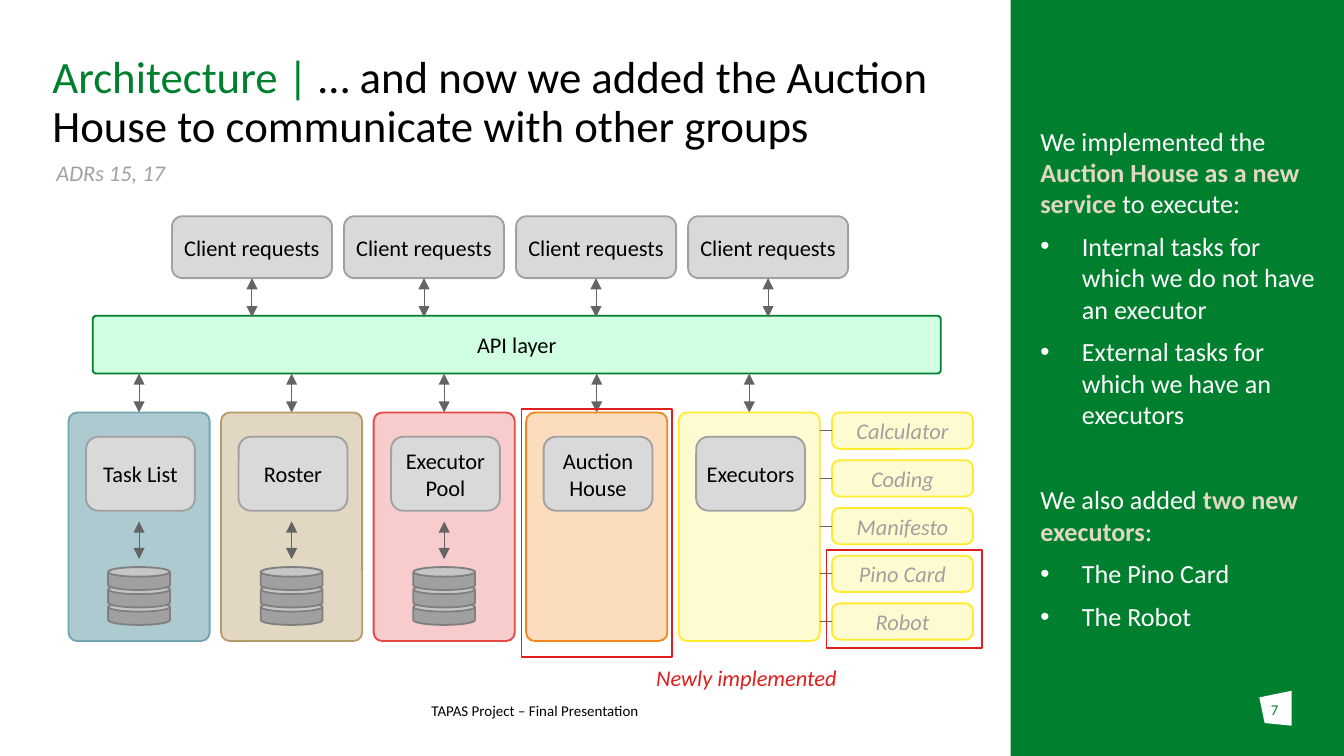
"""Build the architecture slide that introduces the Auction House service."""
from dataclasses import dataclass

from lxml import etree
from pptx import Presentation
from pptx.dml.color import RGBColor
from pptx.enum.shapes import MSO_CONNECTOR, MSO_SHAPE
from pptx.enum.text import MSO_ANCHOR, MSO_AUTO_SIZE, PP_ALIGN
from pptx.oxml.ns import qn
from pptx.util import Inches, Pt

STRAIGHT = MSO_CONNECTOR.STRAIGHT
RECTANGLE = MSO_SHAPE.RECTANGLE
ROUNDED = MSO_SHAPE.ROUNDED_RECTANGLE
PENTAGON = MSO_SHAPE.PENTAGON
CAN = MSO_SHAPE.CAN
TOP, MIDDLE = MSO_ANCHOR.TOP, MSO_ANCHOR.MIDDLE
LEFT, CENTER = PP_ALIGN.LEFT, PP_ALIGN.CENTER
NO_AUTOFIT = MSO_AUTO_SIZE.NONE
TOP_SIDE, LEFT_SIDE, BOTTOM_SIDE = 0, 1, 2
SLIDE_WIDTH = 10
SLIDE_HEIGHT = SLIDE_WIDTH * 9 / 16
CLIENT_WIDTH = 1.19
COLUMN_WIDTH = 1.05
EXECUTOR_HEIGHT = 0.27


@dataclass(frozen=True)
class Theme:
    font: str = "Calibri"
    title: int = 24
    body: int = 14
    label: int = 12
    small: int = 8
    green: str = "00802F"
    mint: str = "D1FFE1"
    white: str = "FFFFFF"
    black: str = "000000"
    sand: str = "E1D7C3"
    light_gray: str = "D9D9D9"
    gray: str = "A0A0A0"
    can_edge: str = "808080"
    arrow: str = "646464"
    red: str = "E11E1E"
    yellow: str = "FFFBD1"
    yellow_edge: str = "FFEB2D"


THEME = Theme()
SERVICES = [
    ("Task List", "ACCAD0", "73A5AF", True),
    ("Roster", THEME.sand, "B59C6B", True),
    ("Executor Pool", "F8CCCC", "E64848", True),
    ("Auction House", "FBDDBD", "F08A1D", False),
    ("Executors", THEME.yellow, THEME.yellow_edge, False),
]
EXECUTORS = ["Calculator", "Coding", "Manifesto", "Pino Card", "Robot"]
SIDEBAR = [
    (False, 0, [("We implemented the ", False), ("Auction House as a new service ", True),
                ("to execute:", False)]),
    (True, 0, [("Internal tasks for which we do not have an executor", False)]),
    (True, 0, [("External tasks for which we have an executors", False)]),
    (False, 23, [("We also added ", False), ("two new executors", True), (":", False)]),
    (True, 0, [("The Pino Card", False)]),
    (True, 0, [("The Robot", False)]),
]


def add_text(paragraph, text, size=THEME.label, color=THEME.black, bold=False, italic=False):
    run = paragraph.add_run()
    run.text = text
    run.font.name = THEME.font
    run.font.size = Pt(size)
    run.font.color.rgb = RGBColor.from_string(color)
    run.font.bold = bold
    run.font.italic = italic


class SlideBuilder:
    def __init__(self, slide, theme):
        self.slide = slide
        self.theme = theme

    def frame(self, shape, anchor):
        frame = shape.text_frame
        frame.auto_size = NO_AUTOFIT
        frame.word_wrap = True
        frame.vertical_anchor = anchor
        frame.margin_left = frame.margin_right = frame.margin_top = frame.margin_bottom = 0
        return frame

    def paint(self, shape, fill, edge):
        shape.shadow.inherit = False
        if fill:
            shape.fill.solid()
            shape.fill.fore_color.rgb = RGBColor.from_string(fill)
        else:
            shape.fill.background()
        if edge:
            shape.line.color.rgb = RGBColor.from_string(edge)
            shape.line.width = Pt(1)
        else:
            shape.line.fill.background()

    def box(self, kind, place, fill=None, edge=None, text="", adjust=None, **style):
        shape = self.slide.shapes.add_shape(kind, *map(Inches, place))
        self.paint(shape, fill, edge)
        if adjust is not None:
            shape.adjustments[0] = adjust
        if text:
            paragraph = self.frame(shape, MIDDLE).paragraphs[0]
            paragraph.alignment = CENTER
            add_text(paragraph, text, **style)
        return shape

    def text(self, place, text, align=LEFT, anchor=TOP, **style):
        shape = self.slide.shapes.add_textbox(*map(Inches, place))
        paragraph = self.frame(shape, anchor).paragraphs[0]
        paragraph.alignment = align
        add_text(paragraph, text, **style)

    def line(self, start, end, arrows=True):
        connector = self.slide.shapes.add_connector(STRAIGHT, *map(Inches, start + end))
        connector.line.color.rgb = RGBColor.from_string(self.theme.arrow)
        connector.line.width = Pt(0.5)
        properties = connector.element.spPr
        if arrows:
            for name in ("a:headEnd", "a:tailEnd"):
                etree.SubElement(properties.find(qn("a:ln")), qn(name), type="triangle")
        etree.SubElement(properties, qn("a:effectLst"))
        return connector

    def polygon(self, points, fill):
        corners = [tuple(map(Inches, point)) for point in points]
        outline = self.slide.shapes.build_freeform(*corners[0])
        outline.add_line_segments(corners[1:], close=True)
        self.paint(outline.convert_to_shape(), fill, None)

    def placeholder(self, index, place, anchor):
        shape = self.slide.placeholders[index]
        shape.left, shape.top, shape.width, shape.height = map(Inches, place)
        shape.element.getparent().append(shape.element)
        return shape, self.frame(shape, anchor)

    def title(self, place, lead, lines):
        paragraph = self.placeholder(0, place, TOP)[1].paragraphs[0]
        paragraph.alignment = LEFT
        paragraph.line_spacing = 0.9
        add_text(paragraph, lead, size=self.theme.title, color=self.theme.green)
        add_text(paragraph, lines[0], size=self.theme.title)
        for line in lines[1:]:
            paragraph.add_line_break()
            add_text(paragraph, line, size=self.theme.title)

    def body(self, place, entries):
        shape, frame = self.placeholder(1, place, MIDDLE)
        self.paint(shape, self.theme.green, None)
        for number, (bulleted, before, runs) in enumerate(entries):
            paragraph = frame.add_paragraph() if number else frame.paragraphs[0]
            properties = paragraph._p.get_or_add_pPr()
            indent = Inches(0.31) if bulleted else 0
            properties.set("marL", str(indent))
            properties.set("indent", str(-indent))
            if bulleted:
                etree.SubElement(properties, qn("a:buChar"), char="•")
            else:
                etree.SubElement(properties, qn("a:buNone"))
            paragraph.space_before = Pt(before)
            paragraph.space_after = Pt(6)
            for text, strong in runs:
                color = self.theme.sand if strong else self.theme.white
                add_text(paragraph, text, size=self.theme.body, color=color, bold=strong)

    def service(self, left, name, fill, edge, stored):
        center = left + COLUMN_WIDTH / 2
        arrow = self.line((center, 2.78), (center, 3.07))
        column = self.box(ROUNDED, (left, 3.07, COLUMN_WIDTH, 1.7), fill, edge, adjust=0.06)
        arrow.end_connect(column, TOP_SIDE)
        self.box(ROUNDED, (left + 0.13, 3.25, 0.81, 0.55), self.theme.light_gray,
                 self.theme.gray, name)
        if stored:
            self.line((center, 3.88), (center, 4.16))
            for top in (4.48, 4.35, 4.22):
                self.box(CAN, (center - 0.23, top, 0.46, 0.17), self.theme.gray,
                         self.theme.can_edge, adjust=0.42)


def main():
    presentation = Presentation()
    presentation.slide_width = Inches(SLIDE_WIDTH)
    presentation.slide_height = Inches(SLIDE_HEIGHT)
    slide = presentation.slides.add_slide(presentation.slide_layouts[1])
    builder = SlideBuilder(slide, THEME)

    builder.box(RECTANGLE, (0, 0, SLIDE_WIDTH, SLIDE_HEIGHT), THEME.green)
    builder.box(PENTAGON, (-0.01, 0, 7.53, SLIDE_HEIGHT), THEME.white, adjust=0)
    builder.title((0.39, 0.41, 9.22, 0.67), "Architecture | ",
                  ["… and now we added the Auction ", "House to communicate with other groups"])
    builder.text((0.42, 1.18, 1.99, 0.21), "ADRs 15, 17", anchor=MIDDLE,
                 color=THEME.gray, italic=True)

    builder.box(ROUNDED, (0.69, 2.35, 6.31, 0.43), THEME.mint, THEME.green, "API layer", 0.06)
    for column in range(4):
        left = 1.28 + 1.28 * column
        center = left + CLIENT_WIDTH / 2
        client = builder.box(ROUNDED, (left, 1.61, CLIENT_WIDTH, 0.46), THEME.light_gray,
                             THEME.gray, "Client requests")
        arrow = builder.line((center, 2.07), (center, 2.36))
        arrow.begin_connect(client, BOTTOM_SIDE)

    for column, service in enumerate(SERVICES):
        builder.service(0.51 + 1.135 * column, *service)
    for row, name in enumerate(EXECUTORS):
        top = 3.07 + 0.355 * row
        middle = top + EXECUTOR_HEIGHT / 2
        executor = builder.box(ROUNDED, (6.19, top, COLUMN_WIDTH, EXECUTOR_HEIGHT), THEME.yellow,
                               THEME.yellow_edge, name, 0.21, color=THEME.gray, italic=True)
        link = builder.line((6.1, middle), (6.19, middle), arrows=False)
        link.end_connect(executor, LEFT_SIDE)

    for place in ((3.88, 3.04, 1.12, 1.85), (6.15, 4.09, 1.16, 0.73)):
        builder.box(RECTANGLE, place, edge=THEME.red)
    builder.text((4.57, 4.93, 1.97, 0.23), "Newly implemented", CENTER, MIDDLE,
                 color=THEME.red, italic=True)

    builder.body((7.74, 0.48, 2.1, 4.67), SIDEBAR)
    builder.polygon([(9.37, 5.19), (9.61, 5.14), (9.61, 5.4), (9.41, 5.38)], THEME.white)
    builder.text((9.37, 5.21, 0.23, 0.3), "7", CENTER, size=THEME.small, color=THEME.green)
    builder.text((3.21, 5.22, 2.48, 0.2), "TAPAS Project – Final Presentation", size=THEME.small)
    presentation.save("out.pptx")


if __name__ == "__main__":
    main()
